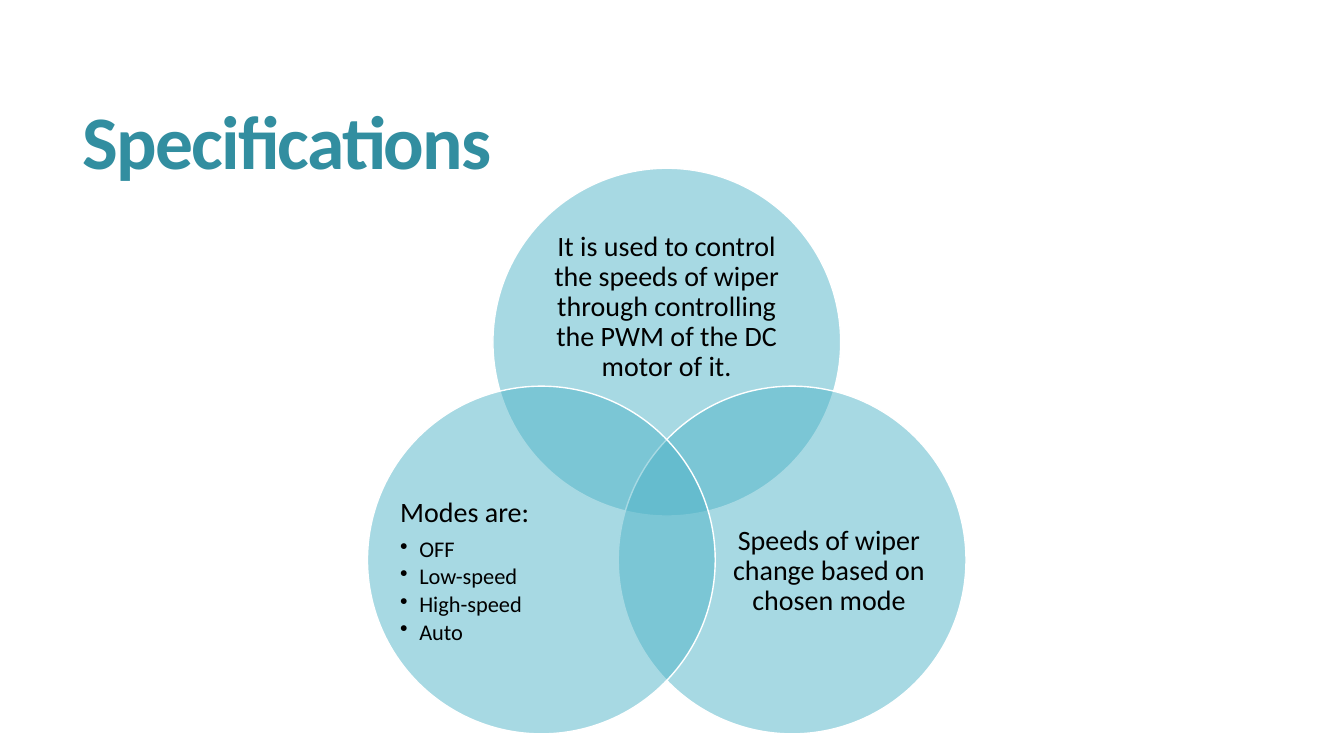
from lxml import etree
from pptx import Presentation
from pptx.dml.color import RGBColor
from pptx.enum.shapes import MSO_SHAPE
from pptx.enum.text import MSO_ANCHOR, PP_ALIGN
from pptx.oxml.ns import qn
from pptx.util import Pt

OVAL = MSO_SHAPE.OVAL
MIDDLE = MSO_ANCHOR.MIDDLE
LEFT, CENTER = PP_ALIGN.LEFT, PP_ALIGN.CENTER

TITLE = "Specifications"
CIRCLES = [
    {"center": (476.3, 244.4), "box": (0.133, 0.175, 0.733, 0.45), "align": CENTER,
     "text": "It is used to control the speeds of wiper through controlling "
             "the PWM of the DC motor of it.", "bullets": []},
    {"center": (565.8, 400), "box": (0.306, 0.258, 0.6, 0.55), "align": CENTER,
     "text": "Speeds of wiper change based on chosen mode", "bullets": []},
    {"center": (386.7, 400), "box": (0.094, 0.258, 0.6, 0.55), "align": LEFT,
     "text": "Modes are:", "bullets": ["OFF", "Low-speed", "High-speed", "Auto"]},
]
DIAMETER = 248.4
INDENT = 13.7
FONT = "Calibri"
TEAL, AQUA, WHITE, BLACK = "328EA0", "50B4C8", "FFFFFF", "000000"


def paint(color_format, color):
    color_format.rgb = RGBColor.from_string(color)


def add_text_box(s, x, y, w, h):
    tf = s.shapes.add_textbox(Pt(x), Pt(y), Pt(w), Pt(h)).text_frame
    tf.word_wrap = True
    tf.vertical_anchor = MIDDLE
    return tf


def style(p, text, size, color, spacing, after=0):
    p.text = text
    p.line_spacing = spacing
    p.space_after = Pt(after)
    p.font.name = FONT
    p.font.size = Pt(size)
    paint(p.font.color, color)


def add_bullet(p):
    pPr = p._p.get_or_add_pPr()
    pPr.set("marL", str(Pt(INDENT)))
    pPr.set("indent", str(-Pt(INDENT)))
    bullet = etree.Element(qn("a:buChar"), char="•")
    pPr.find(qn("a:defRPr")).addprevious(bullet)


def add_circle(s, x, y):
    sp = s.shapes.add_shape(OVAL, Pt(x), Pt(y), Pt(DIAMETER), Pt(DIAMETER))
    sp.shadow.inherit = False
    sp.fill.solid()
    paint(sp.fill.fore_color, AQUA)
    color = sp.fill._xPr.find(qn("a:solidFill"))[0]
    etree.SubElement(color, qn("a:alpha"), val="50000")
    paint(sp.line.color, WHITE)
    sp.line.width = Pt(1)


def main():
    prs = Presentation()
    prs.slide_width, prs.slide_height = Pt(960), Pt(540)
    s = prs.slides.add_slide(prs.slide_layouts[6])

    p = add_text_box(s, 51.8, 39.6, 848.2, 130.3).paragraphs[0]
    style(p, TITLE, 54, TEAL, 0.85)
    p.font.bold = True
    p.runs[0].font._element.set("spc", "-120")

    for circle in CIRCLES:
        x, y = (c - DIAMETER / 2 for c in circle["center"])
        add_circle(s, x, y)
        dx, dy, w, h = (part * DIAMETER for part in circle["box"])
        tf = add_text_box(s, x + dx, y + dy, w, h)
        tf.margin_left = tf.margin_right = tf.margin_top = tf.margin_bottom = 0
        p = tf.paragraphs[0]
        style(p, circle["text"], 20, BLACK, 0.9, 7)
        p.alignment = circle["align"]
        for mode in circle["bullets"]:
            p = tf.add_paragraph()
            style(p, mode, 16, BLACK, 0.9, 2.4)
            add_bullet(p)

    prs.save("out.pptx")


if __name__ == "__main__":
    main()
